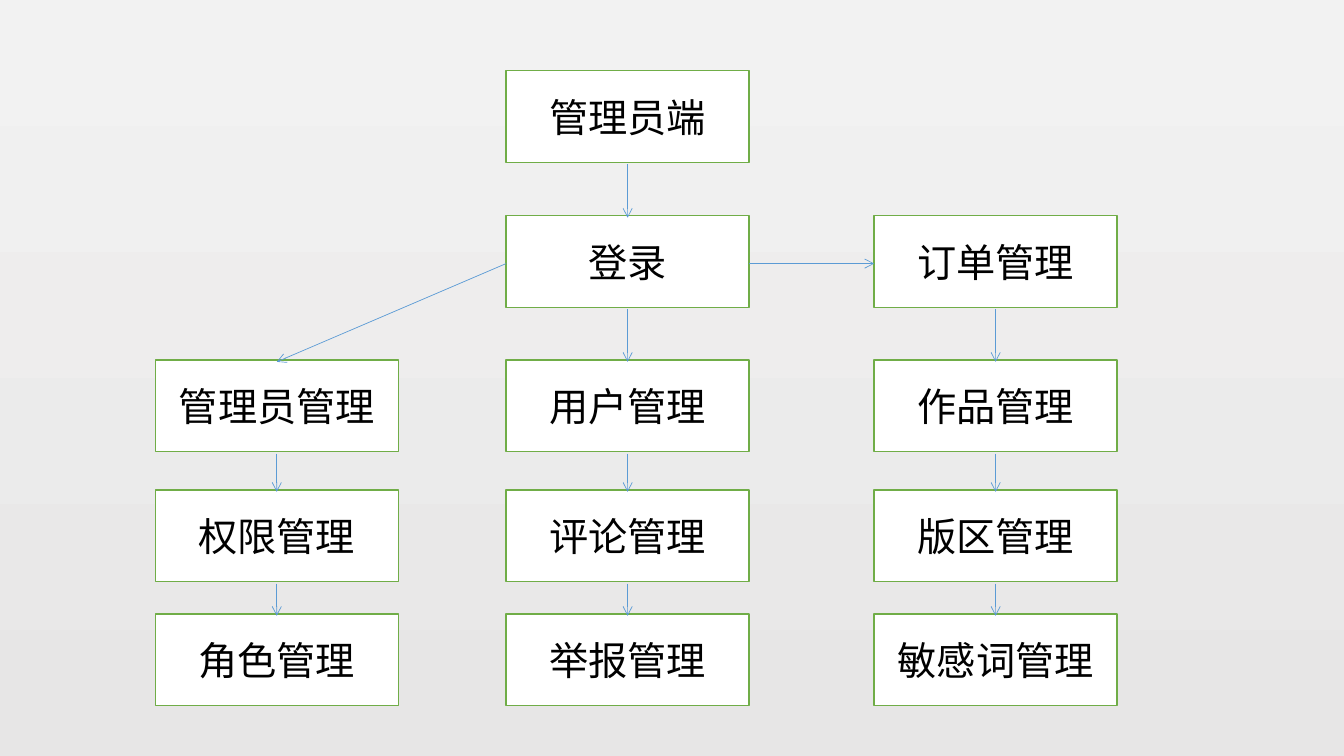
from itertools import pairwise

from lxml.etree import SubElement
from pptx import Presentation
from pptx.dml.color import RGBColor
from pptx.enum.shapes import MSO_CONNECTOR as Connector, MSO_SHAPE as Shape
from pptx.enum.text import MSO_ANCHOR as Anchor, PP_ALIGN as Align
from pptx.oxml.ns import qn
from pptx.util import Inches, Pt

BLACK = RGBColor(0x00, 0x00, 0x00)
WHITE = RGBColor(0xFF, 0xFF, 0xFF)
GREEN = RGBColor(0x70, 0xAD, 0x47)
BLUE = RGBColor(0x5B, 0x9B, 0xD5)
BACKGROUND_TOP = RGBColor(0xF2, 0xF2, 0xF2)
BACKGROUND_BOTTOM = RGBColor(0xE7, 0xE6, 0xE6)

BOX_WIDTH, BOX_HEIGHT = 2.41, 0.91
COLUMN_LEFTS = [1.54, 5.02, 8.67]
ROW_TOPS = [0.7, 2.14, 3.57, 4.86, 6.09]
ARROW_DROP = 0.02  # arrows sit slightly lower than the box edges

# Each column: index of its first row, then its labels downwards
COLUMNS = [
    (2, ["管理员管理", "权限管理", "角色管理"]),
    (0, ["管理员端", "登录", "用户管理", "评论管理", "举报管理"]),
    (1, ["订单管理", "作品管理", "版区管理", "敏感词管理"]),
]


def set_background(slide):
    fill = slide.background.fill
    fill.gradient()
    fill.gradient_angle = 270
    for stop, color in zip(fill.gradient_stops, [BACKGROUND_TOP, BACKGROUND_BOTTOM]):
        stop.color.rgb = color


def write_text(shape, text, *, size=28, font="Calibri", color=BLACK, align=Align.CENTER):
    frame = shape.text_frame
    frame.word_wrap = True
    frame.vertical_anchor = Anchor.MIDDLE
    paragraph = frame.paragraphs[0]
    paragraph.alignment = align
    run = paragraph.add_run()
    run.text = text
    run.font.size = Pt(size)
    run.font.name = font
    run.font.color.rgb = color


def add_box(slide, left, top, label):
    box = slide.shapes.add_shape(
        Shape.RECTANGLE, Inches(left), Inches(top), Inches(BOX_WIDTH), Inches(BOX_HEIGHT)
    )
    box.shadow.inherit = False
    box.fill.solid()
    box.fill.fore_color.rgb = WHITE
    box.line.color.rgb = GREEN
    box.line.width = Pt(1)
    write_text(box, label)
    return box


def add_arrow(slide, start, end):
    drop = Inches(ARROW_DROP)
    arrow = slide.shapes.add_connector(
        Connector.STRAIGHT, start[0], start[1] + drop, end[0], end[1] + drop
    )
    arrow.line.color.rgb = BLUE
    arrow.line.width = Pt(0.5)
    SubElement(arrow.line._get_or_add_ln(), qn("a:tailEnd"), type="arrow")
    SubElement(arrow._element.spPr, qn("a:effectLst"))


def edge_point(box, across, down):
    """Point on a box, given as fractions of its width and height."""
    return box.left + int(box.width * across), box.top + int(box.height * down)


def add_column(slide, left, tops, labels):
    """Stack the labelled boxes, join them with arrows and return them."""
    boxes = [add_box(slide, left, top, label) for top, label in zip(tops, labels)]
    for upper, lower in pairwise(boxes):
        add_arrow(slide, edge_point(upper, 0.5, 1), edge_point(lower, 0.5, 0))
    return boxes


def main():
    presentation = Presentation()
    presentation.slide_width = Inches(13.33)
    presentation.slide_height = Inches(7.5)
    slide = presentation.slides.add_slide(presentation.slide_layouts[6])
    set_background(slide)

    admin_column, main_column, order_column = [
        add_column(slide, left, ROW_TOPS[first_row:], labels)
        for left, (first_row, labels) in zip(COLUMN_LEFTS, COLUMNS)
    ]
    login = main_column[1]
    add_arrow(slide, edge_point(login, 0, 0.5), edge_point(admin_column[0], 0.5, 0))
    add_arrow(slide, edge_point(login, 1, 0.5), edge_point(order_column[0], 0, 0.5))

    presentation.save("out.pptx")


if __name__ == "__main__":
    main()
